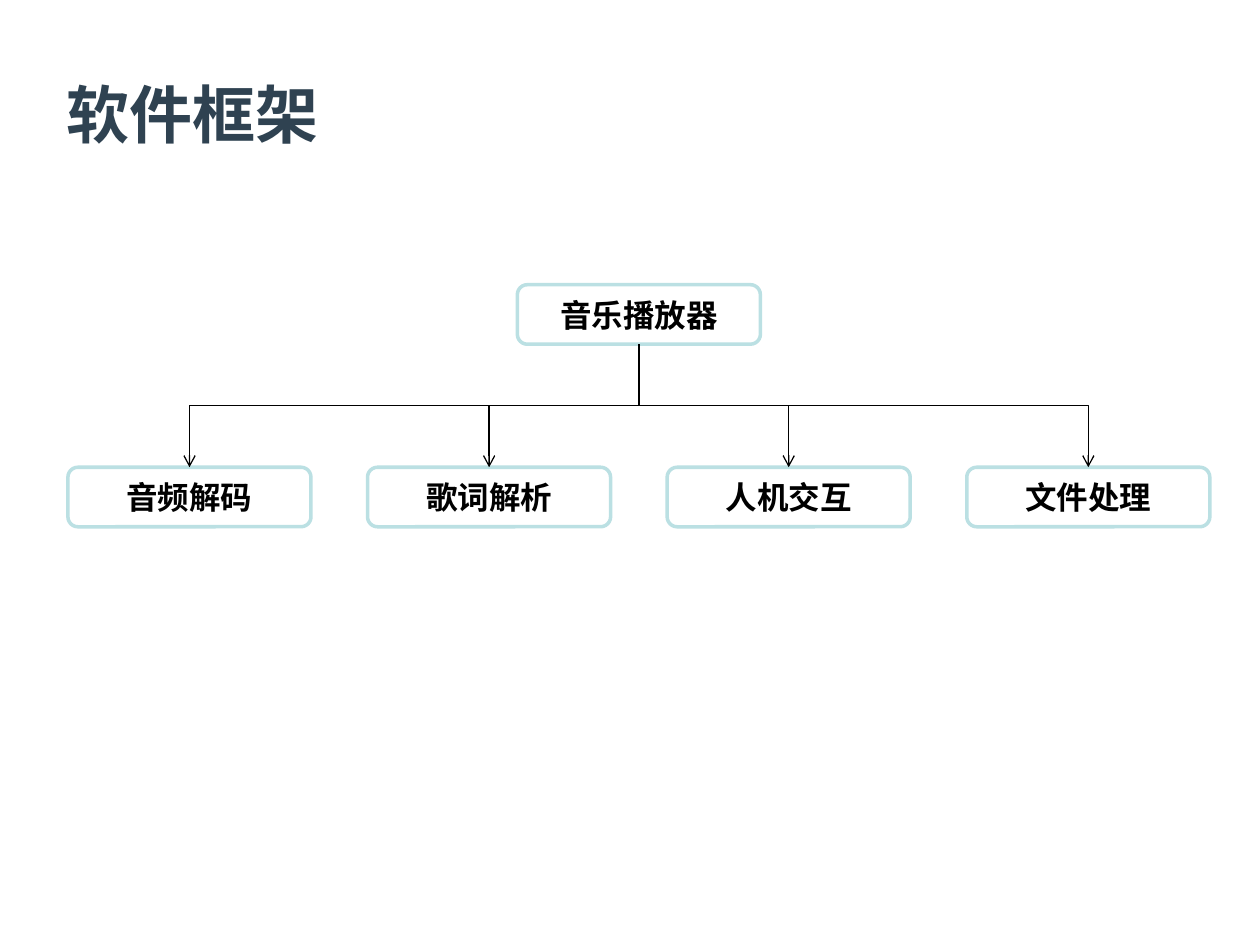
"""Build the software framework slide: a music player split into four modules."""
from dataclasses import dataclass
from typing import Any

from lxml.etree import SubElement
from pptx import Presentation
from pptx.dml.color import RGBColor
from pptx.enum.shapes import MSO_CONNECTOR, MSO_SHAPE
from pptx.enum.text import MSO_ANCHOR, PP_ALIGN
from pptx.oxml.ns import qn
from pptx.util import Cm, Pt

MODULES = ("音频解码", "歌词解析", "人机交互", "文件处理")
ROW_LEFT, ROW_TOP, PITCH = 1.37, 9.42, 6.04
ROOT_LEFT, ROOT_TOP = ROW_LEFT + PITCH * (len(MODULES) - 1) / 2, 5.74
BOX_WIDTH, BOX_HEIGHT = 4.9, 1.2
TITLE_FORMAT = {"name": "Arial", "size": Pt(36), "bold": True}
BOX_FORMAT = {"name": "Arial", "size": Pt(18), "bold": True}


@dataclass(frozen=True)
class Box:
    """A labelled box, placed in centimetres."""

    label: str
    left: float
    top: float


def color(value: str) -> RGBColor:
    """Turn a hex string into a colour."""
    return RGBColor.from_string(value)


def write_text(shape: Any, text: str, font_format: dict, font_color: str, alignment: PP_ALIGN) -> None:
    """Write one vertically centred paragraph into a shape."""
    frame = shape.text_frame
    frame.word_wrap = True
    frame.vertical_anchor = MSO_ANCHOR.MIDDLE
    paragraph = frame.paragraphs[0]
    paragraph.alignment = alignment
    run = paragraph.add_run()
    run.text = text
    for name, value in font_format.items():
        setattr(run.font, name, value)
    run.font.color.rgb = color(font_color)


def draw_box(slide: Any, box: Box) -> Any:
    """Draw a rounded box with its label."""
    shape = slide.shapes.add_shape(
        MSO_SHAPE.ROUNDED_RECTANGLE, Cm(box.left), Cm(box.top), Cm(BOX_WIDTH), Cm(BOX_HEIGHT)
    )
    shape.shadow.inherit = False
    shape.fill.solid()
    shape.fill.fore_color.rgb = color("FFFFFF")
    shape.line.color.rgb = color("BBE0E3")
    shape.line.width = Pt(2)
    write_text(shape, box.label, BOX_FORMAT, "000000", PP_ALIGN.CENTER)
    return shape


def draw_branch(slide: Any, parent: Any, child: Any) -> None:
    """Join a parent's bottom to a child's top with a down-across-down arrow."""
    start_x, end_x = (shape.left + shape.width // 2 for shape in (parent, child))
    start_y, end_y = parent.top + parent.height, child.top
    connector = slide.shapes.add_connector(MSO_CONNECTOR.ELBOW, start_x, start_y, end_x, end_y)
    connector.begin_connect(parent, 2)
    connector.end_connect(child, 0)
    drop, reach = end_y - start_y, abs(end_x - start_x)
    rotated_frame = {
        "left": (start_x + end_x - drop) // 2,
        "top": (start_y + end_y - reach) // 2,
        "width": drop,
        "height": reach,
    }
    for name, value in rotated_frame.items():
        setattr(connector, name, value)
    goes_right = end_x > start_x
    properties = connector._element.spPr
    transform = properties.find(qn("a:xfrm"))
    transform.set("rot", "16200000" if goes_right else "5400000")
    transform.set("flipH", "1" if goes_right else "0")
    transform.set("flipV", "0")
    connector.line.color.rgb = color("000000")
    connector.line.width = Pt(0.75)
    SubElement(properties.find(qn("a:ln")), qn("a:tailEnd"), type="arrow")
    SubElement(properties, qn("a:effectLst"))


def main() -> None:
    """Build and save the presentation."""
    presentation = Presentation()
    presentation.slide_width, presentation.slide_height = Cm(25.4), Cm(19.05)
    slide = presentation.slides.add_slide(presentation.slide_layouts[6])
    title = slide.shapes.add_textbox(Cm(1.1), Cm(0.7), Cm(23), Cm(3.18))
    write_text(title, "软件框架", TITLE_FORMAT, "2F4251", PP_ALIGN.LEFT)
    root = draw_box(slide, Box("音乐播放器", ROOT_LEFT, ROOT_TOP))
    boxes = [Box(label, ROW_LEFT + index * PITCH, ROW_TOP) for index, label in enumerate(MODULES)]
    for module in [draw_box(slide, box) for box in boxes]:
        draw_branch(slide, root, module)
    presentation.save("out.pptx")


if __name__ == "__main__":
    main()
